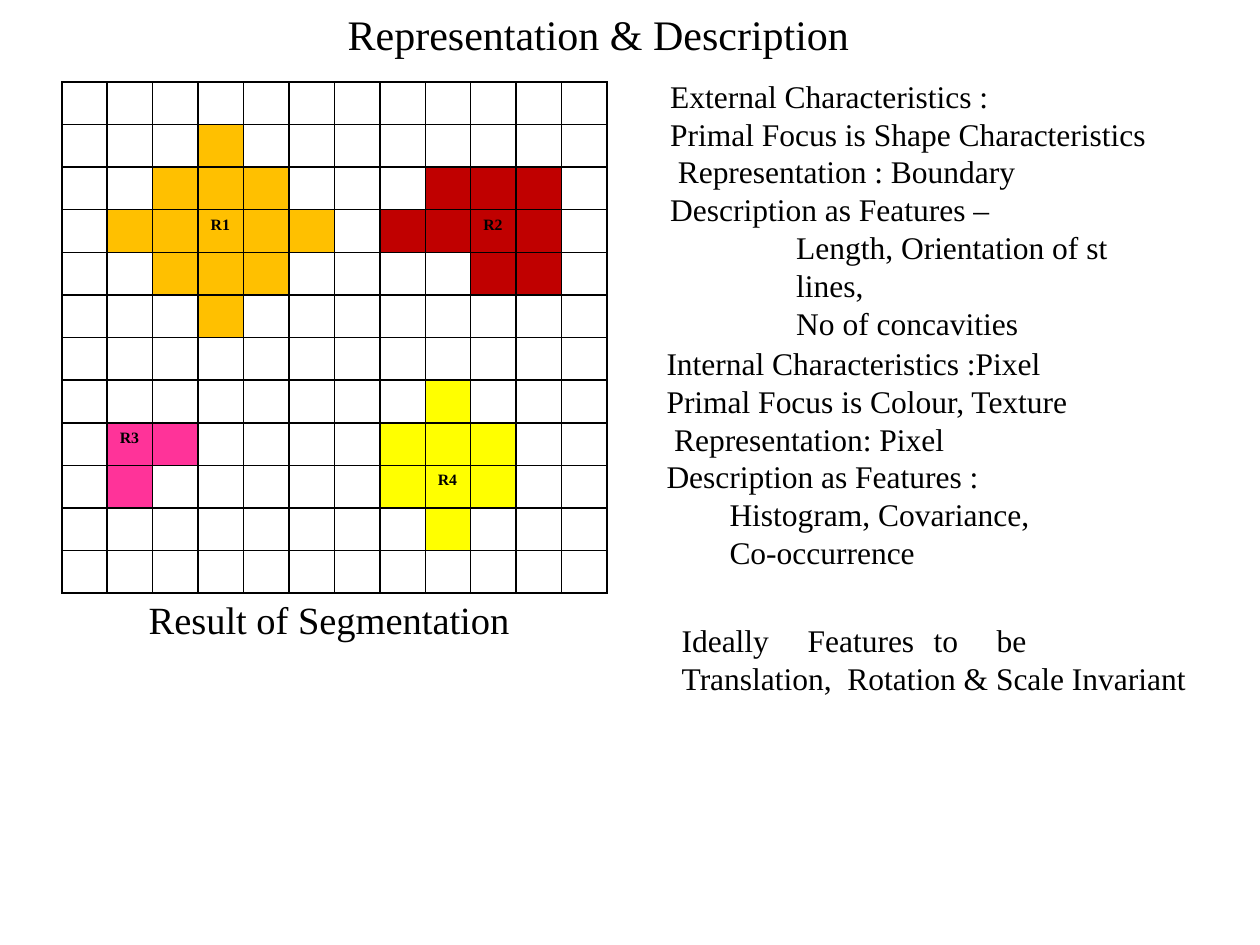
"""Build the slide on representation and description of segmented regions."""
from typing import NamedTuple

from lxml import etree
from pptx import Presentation
from pptx import util as u
from pptx.dml.color import RGBColor
from pptx.oxml import ns

FONT = "Times New Roman"
COLORS = {"ink": "000000", "1": "FFC000", "2": "C00000", "3": "FF3399", "4": "FFFF00"}
GRID = [
    "............",
    "...1........",
    "..111...222.",
    ".11111.2222.",
    "..111....22.",
    "...1........",
    "............",
    "........4...",
    ".33....444..",
    ".3.....444..",
    "........4...",
    "............",
]
LABELS = {(3, 3): "R1", (3, 9): "R2", (8, 1): "R3", (9, 8): "R4"}


class Line(NamedTuple):
    text: str
    indent: float = 0.01
    before: float = 0
    tabs: tuple[float, ...] = ()


class Block(NamedTuple):
    left: float
    top: float
    width: float
    height: float
    size: int
    wrap: bool
    lines: list[Line]


BLOCKS = [
    Block(2.75, 0.06, 4.01, 0.43, 24, False,
          [Line("Representation & Description", before=1)]),
    Block(1.17, 4.72, 2.89, 0.39, 22, False,
          [Line("Result of Segmentation", before=0.9)]),
    Block(5.31, 0.6, 4.1, 2.15, 18, True, [
        Line("External Characteristics :", before=1),
        Line("Primal Focus is Shape Characteristics"),
        Line("Representation : Boundary", 0.07),
        Line("Description as Features –"),
        Line("Length, Orientation of st\vlines,", 1.01),
        Line("No of concavities", 1.01),
    ]),
    Block(5.28, 2.72, 4.45, 2.85, 18, True, [
        Line("Internal Characteristics :Pixel", before=1),
        Line("Primal Focus is Colour, Texture"),
        Line("Representation: Pixel", 0.07),
        Line("Description as Features :"),
        Line("Histogram, Covariance,", 0.51),
        Line("Co-occurrence", 0.51),
        Line("Ideally\tFeatures\tto\tbe", 0.13, 28.6, (1.11, 2.24, 2.72)),
        Line("Translation,  Rotation & Scale Invariant", 0.13),
    ]),
]


def write_line(paragraph, line: Line, size: float, bold: bool = False) -> None:
    """Fill a paragraph and format its runs."""
    paragraph.text = line.text
    paragraph.space_before = u.Pt(line.before)
    properties = paragraph._p.get_or_add_pPr()
    properties.set("marL", str(u.Inches(line.indent)))
    properties.set("indent", "0")
    if line.tabs:
        stops = etree.SubElement(properties, ns.qn("a:tabLst"))
        for position in line.tabs:
            etree.SubElement(stops, ns.qn("a:tab"), pos=str(u.Inches(position)), algn="l")
    for run in paragraph.runs:
        run.font.name = FONT
        run.font.size = u.Pt(size)
        run.font.bold = bold
        run.font.color.rgb = RGBColor.from_string(COLORS["ink"])


def draw_block(slide, block: Block) -> None:
    """Add a text box with one paragraph per line."""
    box = slide.shapes.add_textbox(u.Inches(block.left), u.Inches(block.top),
                                   u.Inches(block.width), u.Inches(block.height))
    frame = box.text_frame
    frame.word_wrap = block.wrap
    frame.margin_left = frame.margin_right = frame.margin_bottom = 0
    frame.margin_top = u.Inches(0.01)
    for index, line in enumerate(block.lines):
        paragraph = frame.add_paragraph() if index else frame.paragraphs[0]
        write_line(paragraph, line, block.size)


def outline_cell(cell) -> None:
    """Give a cell a thin line on each side."""
    properties = cell._tc.get_or_add_tcPr()
    for side in ("a:lnL", "a:lnR", "a:lnT", "a:lnB"):
        border = etree.SubElement(properties, ns.qn(side), w=str(u.Pt(1)))
        fill = etree.SubElement(border, ns.qn("a:solidFill"))
        etree.SubElement(fill, ns.qn("a:srgbClr"), val=COLORS["ink"])


def draw_grid(slide) -> None:
    """Add the segmented pixel grid as a table."""
    width, height = u.Inches(4.33), u.Inches(4.06)
    count = len(GRID)
    table = slide.shapes.add_table(count, count, u.Inches(0.49), u.Inches(0.65),
                                   width, height).table
    table.first_row = table.horz_banding = False
    for column in table.columns:
        column.width = width // count
    for row in table.rows:
        row.height = height // count
    for row, regions in enumerate(GRID):
        for column, region in enumerate(regions):
            cell = table.cell(row, column)
            cell.margin_left = cell.margin_right = cell.margin_top = cell.margin_bottom = 0
            outline_cell(cell)
            if region in COLORS:
                cell.fill.solid()
                cell.fill.fore_color.rgb = RGBColor.from_string(COLORS[region])
            else:
                cell.fill.background()
            if (row, column) in LABELS:
                cell.margin_top = u.Inches(0.05)
                label = Line(LABELS[row, column], 0.1, 3.2)
                write_line(cell.text_frame.paragraphs[0], label, 9, True)


def main() -> None:
    """Build and save the slide."""
    presentation = Presentation()
    presentation.slide_width = u.Inches(10)
    presentation.slide_height = u.Inches(7.5)
    slide = presentation.slides.add_slide(presentation.slide_layouts[6])
    draw_grid(slide)
    for block in BLOCKS:
        draw_block(slide, block)
    presentation.save("out.pptx")


main()
